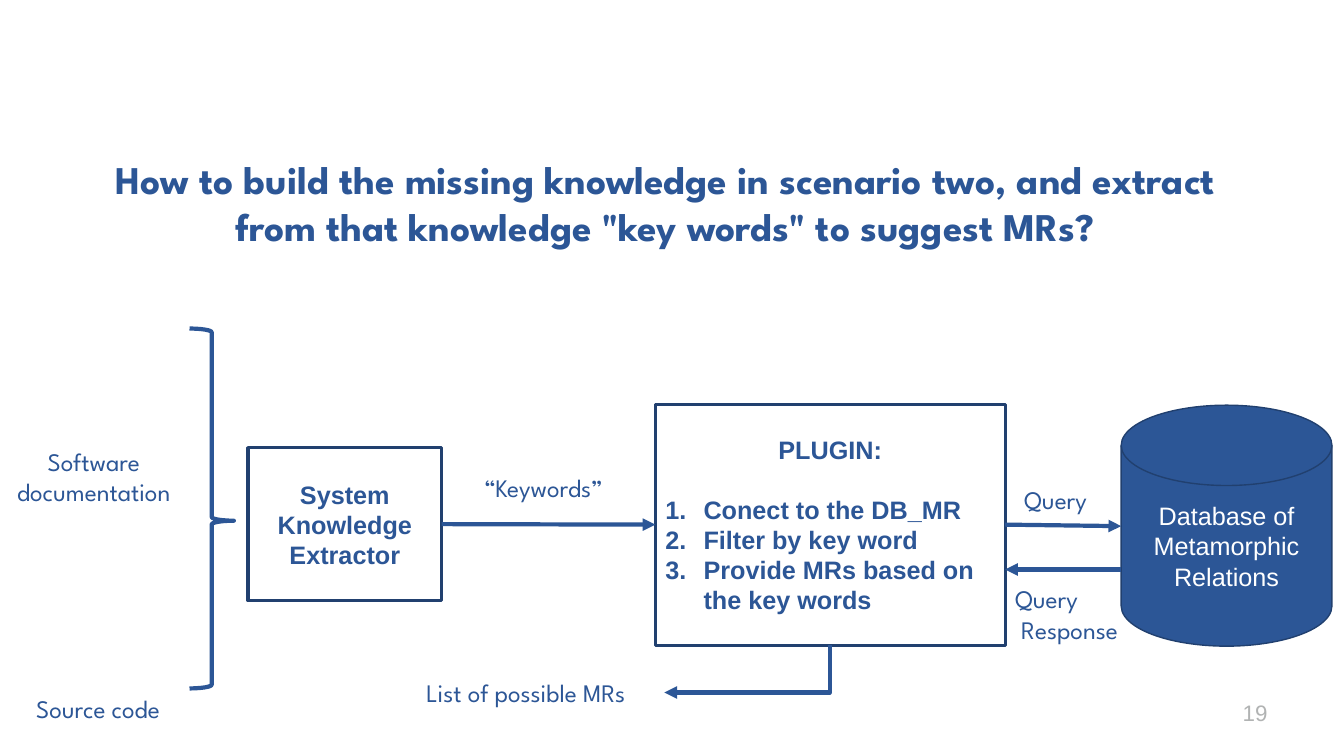
from lxml import etree
from pptx import Presentation
from pptx.dml.color import RGBColor
from pptx.enum.shapes import MSO_CONNECTOR, MSO_SHAPE
from pptx.enum.text import MSO_ANCHOR, MSO_AUTO_SIZE, PP_ALIGN
from pptx.oxml.ns import qn
from pptx.util import Inches, Pt

BLUE = RGBColor(0x2C, 0x56, 0x96)
NAVY = RGBColor(0x21, 0x40, 0x6F)
GRAY = RGBColor(0xB1, 0xB3, 0xB3)
WHITE = RGBColor(0xFF, 0xFF, 0xFF)
DISPLAY_FONT = "League Spartan"
BODY_FONT = "Arial"
LEFT, CENTER, RIGHT = PP_ALIGN.LEFT, PP_ALIGN.CENTER, PP_ALIGN.RIGHT
MIDDLE = MSO_ANCHOR.MIDDLE
FIT_SHAPE = MSO_AUTO_SIZE.SHAPE_TO_FIT_TEXT
STRAIGHT, ELBOW = MSO_CONNECTOR.STRAIGHT, MSO_CONNECTOR.ELBOW
RECTANGLE, BRACE = MSO_SHAPE.RECTANGLE, MSO_SHAPE.RIGHT_BRACE
DISK = MSO_SHAPE.FLOWCHART_MAGNETIC_DISK
TOP_SIDE, LEFT_SIDE, BOTTOM_SIDE, RIGHT_SIDE = range(4)


def format_text(frame, font, size, color, align, bold=False):
    """Give every paragraph of a frame the same look."""
    for para in frame.paragraphs:
        para.alignment = align
        for span in para.runs:
            span.font.name = font
            span.font.size = Pt(size)
            span.font.bold = bold
            span.font.color.rgb = color


def add_label(page, box, text, align=LEFT, size=18, font=DISPLAY_FONT,
              color=BLUE, bold=False, wrap=False):
    """Place a text box and return its frame."""
    frame = page.shapes.add_textbox(*map(Inches, box)).text_frame
    frame.text = text
    frame.word_wrap = wrap
    frame.auto_size = FIT_SHAPE
    format_text(frame, font, size, color, align, bold)
    return frame


def add_node(page, kind, box, text="", fill=None, line=NAVY, width=2.25,
             color=BLUE, bold=True):
    """Place a shape with centred text."""
    node = page.shapes.add_shape(kind, *map(Inches, box))
    node.shadow.inherit = False
    if fill is None:
        node.fill.background()
    else:
        node.fill.solid()
        node.fill.fore_color.rgb = fill
    node.line.color.rgb = line
    node.line.width = Pt(width)
    frame = node.text_frame
    frame.word_wrap = True
    frame.vertical_anchor = MIDDLE
    frame.text = text
    format_text(frame, BODY_FONT, 18, color, CENTER, bold)
    return node


def add_arrow(page, start, end, kind=STRAIGHT):
    """Draw a blue connector with a triangle at its end."""
    arrow = page.shapes.add_connector(kind, *map(Inches, start + end))
    arrow.line.color.rgb = BLUE
    arrow.line.width = Pt(3)
    outline = arrow.line._get_or_add_ln()
    etree.SubElement(outline, qn("a:tailEnd"), type="triangle")
    etree.SubElement(arrow._element.spPr, qn("a:effectLst"))
    return arrow


def add_corner_arrow(page, start, end):
    """Draw an arrow that goes down, then turns left."""
    arrow = add_arrow(page, start, end, ELBOW)
    across, down = start[0] - end[0], end[1] - start[1]
    arrow.left = Inches((start[0] + end[0] - down) / 2)
    arrow.top = Inches((start[1] + end[1] - across) / 2)
    arrow.width, arrow.height = Inches(down), Inches(across)
    properties = arrow._element.spPr
    frame = properties.find(qn("a:xfrm"))
    frame.attrib.pop("flipH", None)
    frame.set("rot", "5400000")
    properties.find(qn("a:prstGeom")).set("prst", "bentConnector2")


def add_sources(page, box):
    """Place the source labels and the brace that gathers them."""
    left, top, width, height = box
    add_label(page, (left, top + 1.12, 1.86, 0.71),
              "Software\ndocumentation", CENTER)
    add_label(page, (left + 0.26, top + height, 1.62, 0.4), "Source code")
    brace = add_node(page, BRACE, (left + width - 0.44, top, 0.44, height),
                     line=BLUE, width=3)
    brace.adjustments[0] = 0.083
    brace.adjustments[1] = 0.534


def add_plugin(page, box):
    """Place the plugin box with its numbered steps."""
    plugin = add_node(page, RECTANGLE, box,
                      "PLUGIN:\nConect to the DB_MR\nFilter by key word\n"
                      "Provide MRs based on the key words")
    heading, *steps = plugin.text_frame.paragraphs
    heading.space_after = Pt(21)
    for para in steps:
        para.alignment = LEFT
        properties = para._p.get_or_add_pPr()
        properties.set("marL", str(Inches(0.38)))
        properties.set("indent", str(-Inches(0.38)))
        etree.SubElement(properties, qn("a:buFont"), typeface="+mj-lt")
        etree.SubElement(properties, qn("a:buAutoNum"), type="arabicPeriod")
    return plugin


def add_query_exchange(page, box, plugin):
    """Place the two arrows between plugin and database."""
    left, top, width, height = box
    right = left + width
    query = add_arrow(page, (left, top + 0.44), (right, top + 0.46))
    query.begin_connect(plugin, RIGHT_SIDE)
    add_arrow(page, (right, top + 0.89), (left, top + 0.89))
    add_label(page, (left + 0.09, top, 0.89, 0.4), "Query")
    reply = add_label(page, (left, top + height - 0.71, 1.41, 0.71),
                      "Query\nResponse")
    reply.paragraphs[1]._p.get_or_add_pPr().set("marL", str(Inches(0.06)))


def add_flow(page, box):
    """Place the whole diagram from sources to database."""
    left, top, width, height = box
    middle = top + 1.94
    add_sources(page, (left, top, 2.32, height))
    extractor = add_node(page, RECTANGLE, (left + 2.46, middle - 0.76, 1.92, 1.52),
                         "System Knowledge Extractor")
    plugin = add_plugin(page, (left + 6.5, middle - 1.19, 3.47, 2.39))
    add_node(page, DISK, (left + width - 2.09, middle - 1.18, 2.09, 2.39),
             "Database of Metamorphic Relations", fill=BLUE, width=1,
             color=WHITE, bold=False)
    keywords = add_arrow(page, (left + 4.38, middle), (left + 6.5, middle))
    keywords.begin_connect(extractor, RIGHT_SIDE)
    keywords.end_connect(plugin, LEFT_SIDE)
    add_label(page, (left + 4.51, middle - 0.56, 1.76, 0.4), "“Keywords”",
              CENTER, wrap=True)
    add_query_exchange(page, (left + 9.97, middle - 0.44, 1.15, 1.69), plugin)
    add_corner_arrow(page, (left + 8.23, middle + 1.2), (left + 6.59, middle + 1.67))
    add_label(page, (left + 4.13, middle + 1.47, 2.46, 0.4), "List of possible MRs")


def main():
    """Build the slide and save it."""
    deck = Presentation()
    deck.slide_width, deck.slide_height = Inches(13.33), Inches(7.5)
    page = deck.slides.add_slide(deck.slide_layouts[6])
    add_label(page, (0.93, 1.49, 11.33, 1.04),
              "How to build the missing knowledge in scenario two, and extract "
              'from that knowledge "key words" to suggest MRs?',
              CENTER, size=28, bold=True, wrap=True)
    number = add_label(page, (11.17, 6.87, 1.5, 0.4), "19", RIGHT, size=16,
                       font=BODY_FONT, color=GRAY, wrap=True)
    number.vertical_anchor = MIDDLE
    add_flow(page, (0, 3.26, 13.21, 3.57))
    deck.save("out.pptx")


if __name__ == "__main__":
    main()
